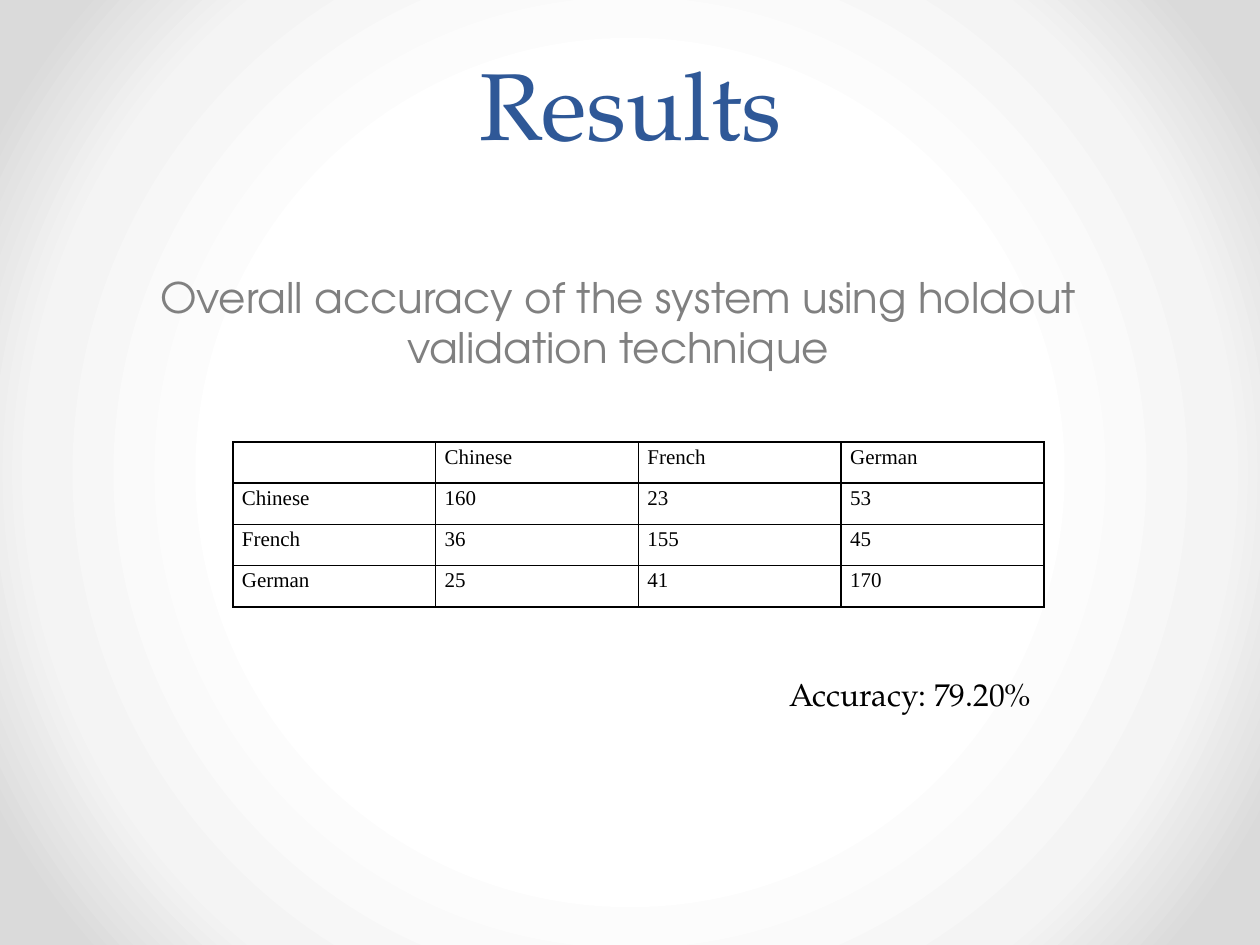
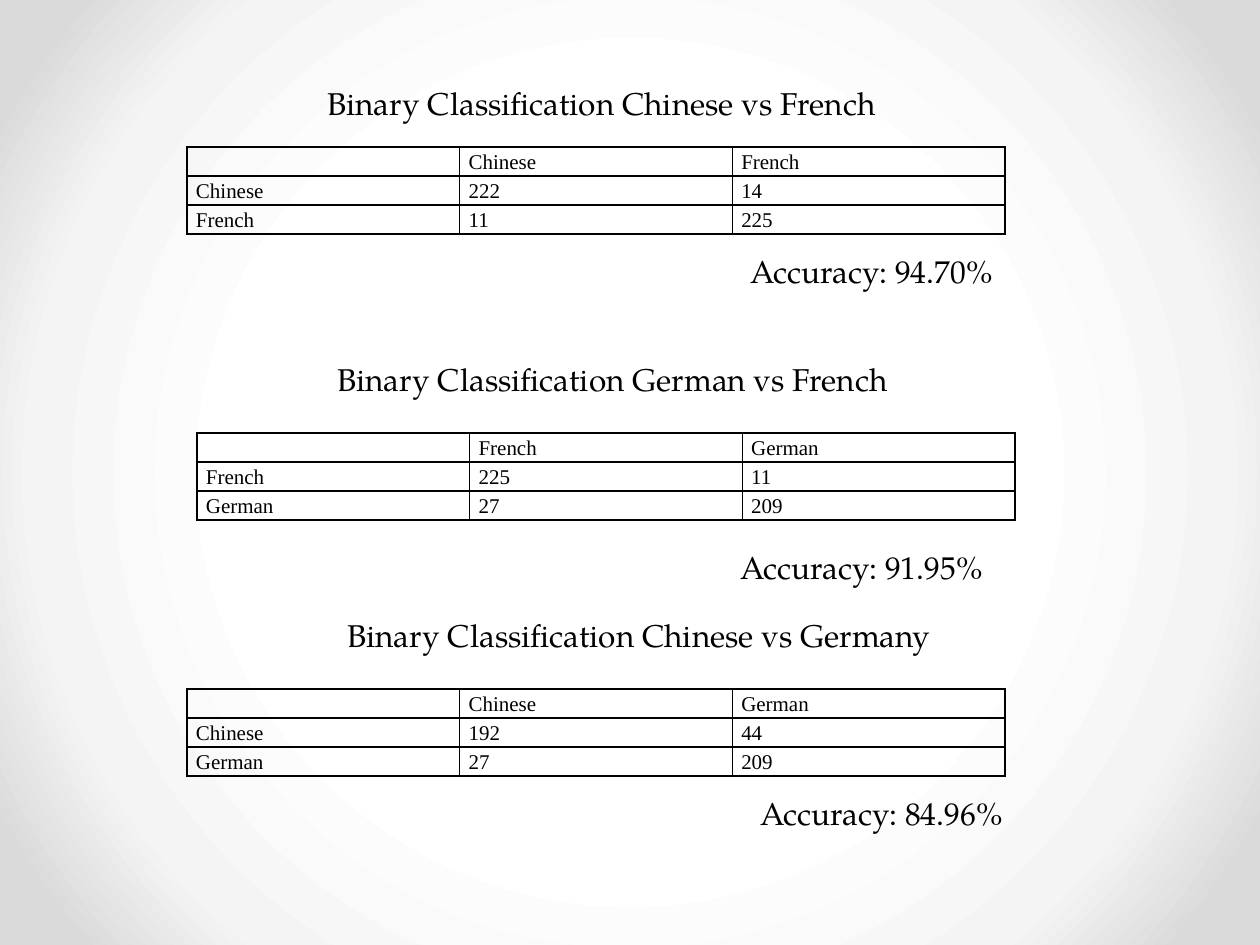
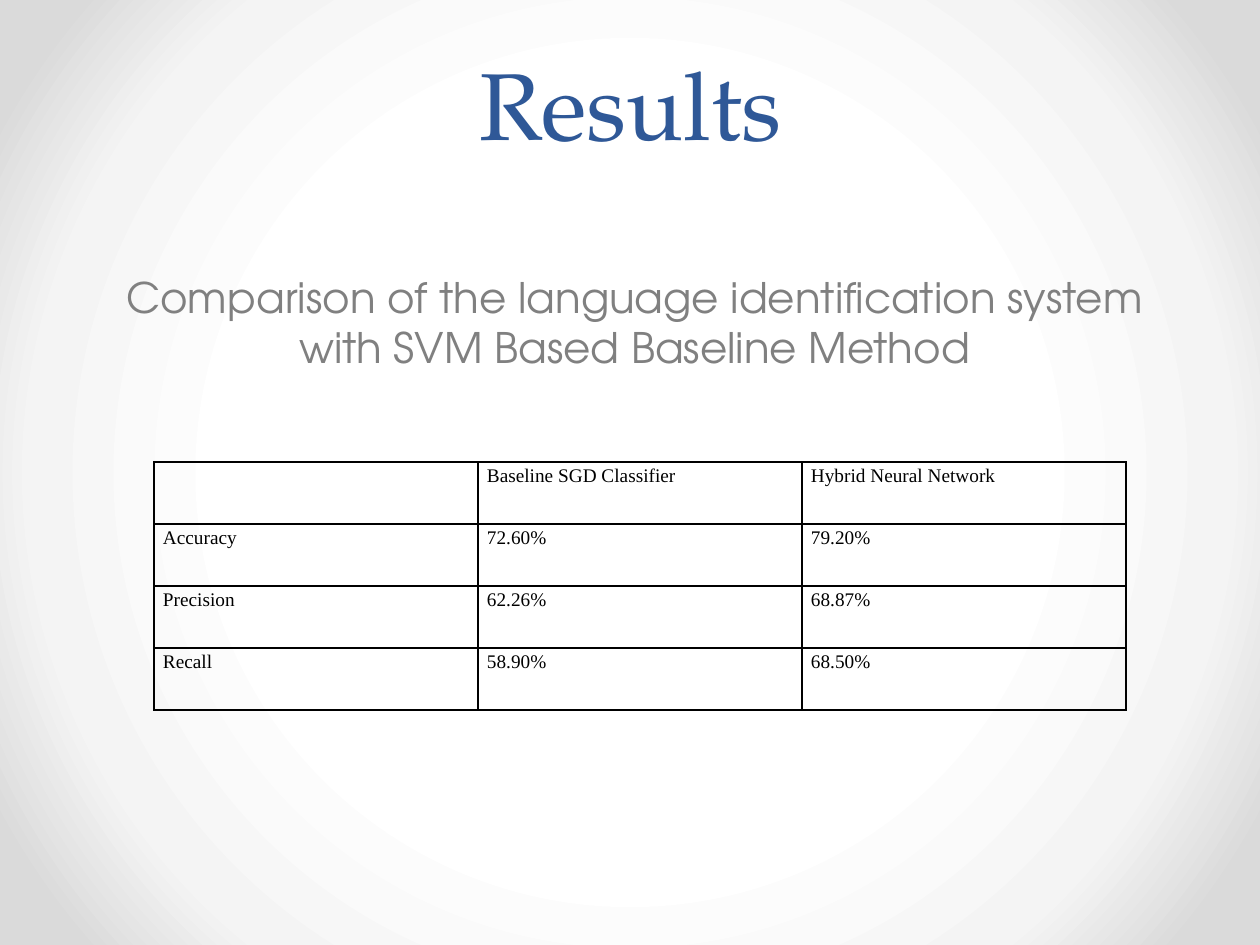
from lxml import etree
from pptx import Presentation
from pptx import util as u
from pptx.dml.color import RGBColor
from pptx.enum import text
from pptx.oxml import ns

PX = 914400 / 126
COLORS = {
    "title": "2F5897",
    "subtitle": "808080",
    "ink": "000000",
    "center": "FFFFFF",
    "ring": "F4F4F4",
    "rim": "DADADA",
}
SERIF, SANS, TABLE_FONT = "TeX Gyre Pagella", "TeX Gyre Adventor", "Times New Roman"
NOTE_HEIGHT = 50


def px(*lengths):
    return [u.Emu(round(length * PX)) for length in lengths]


def add_node(parent, tag, **attributes):
    return etree.SubElement(parent, ns.qn(tag), attributes)


def set_font(paragraph, face, size, color):
    paragraph.font.name = face
    paragraph.font.size = u.Pt(size)
    paragraph.font.color.rgb = RGBColor.from_string(COLORS[color])


# Shared background: rings from the centre outwards
def paint_background(master):
    master.background.fill.gradient()
    gradient = master.element.find(".//" + ns.qn("a:gradFill"))
    for child in list(gradient):
        gradient.remove(child)
    stops = add_node(gradient, "a:gsLst")
    for percent, name in ((50, "center"), (76, "ring"), (92, "rim")):
        stop = add_node(stops, "a:gs", pos=str(percent * 1000))
        add_node(stop, "a:srgbClr", val=COLORS[name])
    circle = add_node(gradient, "a:path", path="circle")
    add_node(circle, "a:fillToRect", **dict.fromkeys("ltrb", "50000"))


# Text elements
def add_text(slide, box, words, face, size, color):
    frame = slide.shapes.add_textbox(*px(*box)).text_frame
    frame.word_wrap = True
    paragraph = frame.paragraphs[0]
    paragraph.text = words
    set_font(paragraph, face, size, color)
    return frame, paragraph


def add_title(slide, words):
    frame, paragraph = add_text(slide, (64, 0, 1134, 166), words, SERIF, 54, "title")
    frame.vertical_anchor = text.MSO_ANCHOR.BOTTOM
    paragraph.alignment = text.PP_ALIGN.CENTER
    paragraph.line_spacing = u.Pt(58)


def add_subtitle(slide, box, words):
    _, paragraph = add_text(slide, box, words, SANS, 24, "subtitle")
    paragraph.alignment = text.PP_ALIGN.CENTER
    paragraph.space_before = u.Pt(1)


def add_note(slide, left, top, width, words):
    add_text(slide, (left, top, width, NOTE_HEIGHT), words, SERIF, 18, "ink")


# Tables
def add_borders(cell):
    properties = cell._tc.get_or_add_tcPr()
    for side in "LRTB":
        line = add_node(properties, f"a:ln{side}", w=str(u.Pt(1)))
        add_node(add_node(line, "a:solidFill"), "a:srgbClr", val=COLORS["ink"])


def fill_cell(cell, words, size):
    cell.margin_left = cell.margin_right = px(9)[0]
    cell.margin_top = cell.margin_bottom = 0
    paragraph = cell.text_frame.paragraphs[0]
    if words:
        paragraph.text = words
    else:
        # An empty cell takes its line height from the end mark
        paragraph._p.get_or_add_endParaRPr().set("sz", str(size * 100))
    set_font(paragraph, TABLE_FONT, size, "ink")
    paragraph.line_spacing = 1.15
    paragraph.space_after = u.Pt(10)
    add_borders(cell)
    cell.fill.background()


def add_grid(slide, box, rows, size=12):
    table = slide.shapes.add_table(len(rows), len(rows[0]), *px(*box)).table
    table.first_row = table.horz_banding = False
    for r, row in enumerate(rows):
        for c, words in enumerate(row):
            fill_cell(table.cell(r, c), words, size)


def add_confusion(slide, box, languages, counts, size=12):
    rows = [["", *languages]]
    rows += [[name, *map(str, row)] for name, row in zip(languages, counts)]
    add_grid(slide, box, rows, size)


# Slides
def build_overall(slide):
    add_title(slide, "Results")
    add_subtitle(slide, (54, 265, 1128, 86),
                 "Overall accuracy of the system using holdout validation technique")
    add_confusion(slide, (233, 442, 811, 165), ("Chinese", "French", "German"),
                  ((160, 23, 53), (36, 155, 45), (25, 41, 170)))
    add_note(slide, 777, 669, 305, "Accuracy: 79.20%")


def build_binary(slide):
    # heading (left, top, width, pair), table (left, top), languages, counts,
    # accuracy (left, top, value)
    comparisons = (
        ((315, 78, 581, "Chinese vs French"), (187, 147), ("Chinese", "French"),
         ((222, 14), (11, 225)), (738, 246, "94.70%")),
        ((325, 354, 583, "German vs French"), (197, 433), ("French", "German"),
         ((225, 11), (27, 209)), (728, 542, "91.95%")),
        ((335, 610, 616, "Chinese vs Germany"), (187, 689), ("Chinese", "German"),
         ((192, 44), (27, 209)), (748, 788, "84.96%")),
    )
    for heading, corner, languages, counts, accuracy in comparisons:
        *place, pair = heading
        add_note(slide, *place, f"Binary Classification {pair}")
        add_confusion(slide, (*corner, 818, 81), languages, counts)
        left, top, value = accuracy
        add_note(slide, left, top, 272, f"Accuracy: {value}")


def build_baseline(slide):
    add_title(slide, "Results")
    add_subtitle(slide, (73, 265, 1123, 137),
                 "Comparison of the language identification system "
                 "with SVM Based Baseline Method")
    add_grid(slide, (154, 462, 972, 248), (
        ("", "Baseline SGD Classifier", "Hybrid Neural Network"),
        ("Accuracy", "72.60%", "79.20%"),
        ("Precision", "62.26%", "68.87%"),
        ("Recall", "58.90%", "68.50%"),
    ), size=11)


def main():
    deck = Presentation()
    deck.slide_width, deck.slide_height = px(1260, 945)
    paint_background(deck.slide_master)
    blank = deck.slide_layouts[6]
    for build in (build_overall, build_binary, build_baseline):
        build(deck.slides.add_slide(blank))
    deck.save("out.pptx")


if __name__ == "__main__":
    main()
